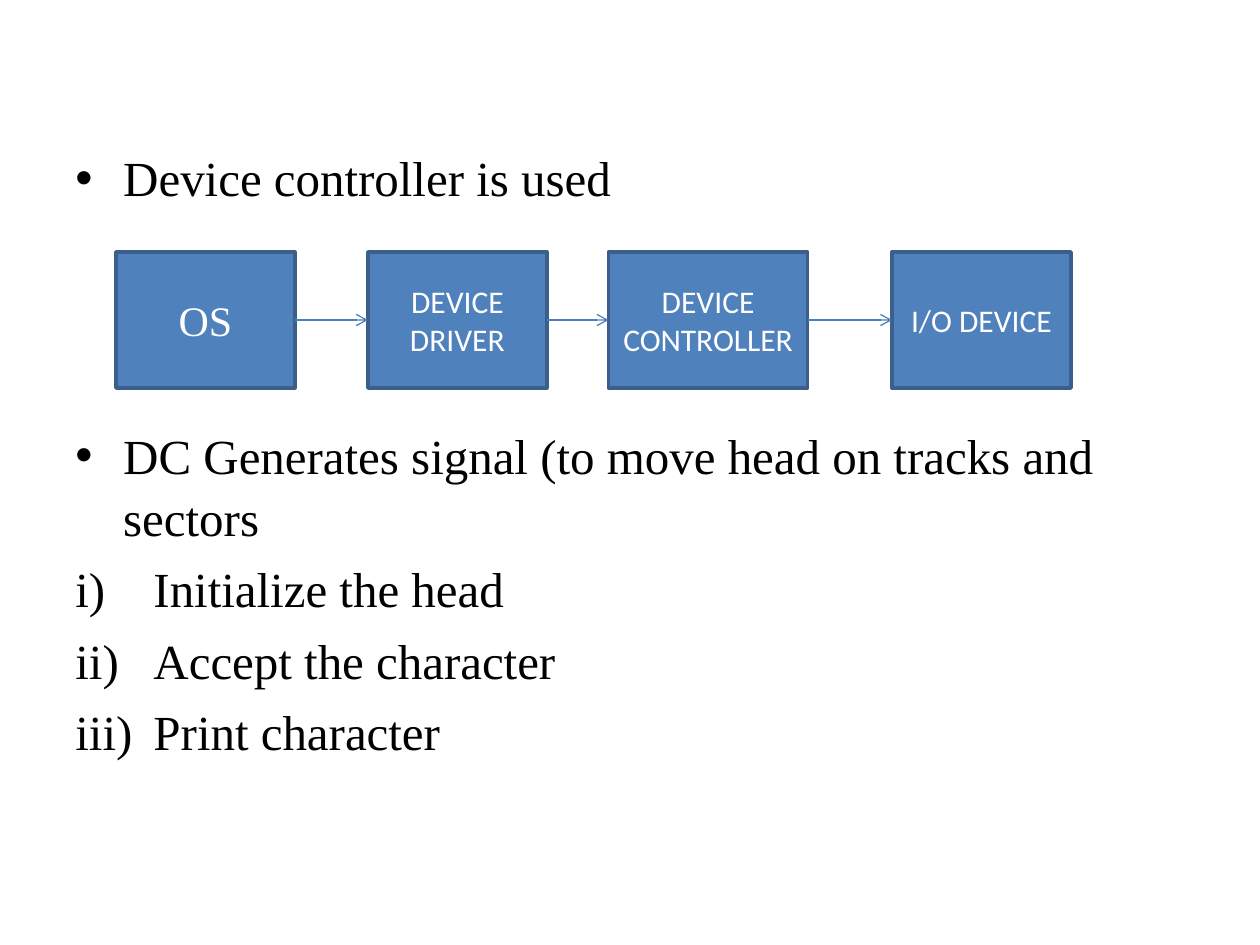
from typing import NamedTuple

from lxml import etree
from pptx import Presentation
from pptx.dml.color import RGBColor
from pptx.enum.shapes import MSO_CONNECTOR, MSO_SHAPE
from pptx.enum.text import MSO_ANCHOR, PP_ALIGN
from pptx.oxml.ns import qn
from pptx.util import Inches, Pt

RECTANGLE = MSO_SHAPE.RECTANGLE
STRAIGHT = MSO_CONNECTOR.STRAIGHT
MIDDLE = MSO_ANCHOR.MIDDLE
CENTER = PP_ALIGN.CENTER

BLACK = RGBColor(0x00, 0x00, 0x00)
WHITE = RGBColor(0xFF, 0xFF, 0xFF)
BOX_FILL = RGBColor(0x4F, 0x81, 0xBD)
BOX_LINE = RGBColor(0x3A, 0x5F, 0x8C)
ARROW_COLOR = RGBColor(0x4B, 0x7E, 0xBC)

SERIF = "Times New Roman"
SANS = "Calibri"
BOX_TOP = 2
BOX_HEIGHT = 1.08
LEFT_SITE, RIGHT_SITE = 1, 3


class Item(NamedTuple):
    text: str
    numbered: bool = False
    space_before: float = 5.6


class Stage(NamedTuple):
    text: str
    left: float
    width: float = 1.42
    font: str = SANS
    size: int = 18


ITEMS = [
    Item("Device controller is used", space_before=0),
    # The wide gap leaves room for the stage diagram.
    Item("DC Generates signal (to move head on tracks and sectors",
         space_before=123.4),
    Item("Initialize the head", numbered=True),
    Item("Accept the character", numbered=True),
    Item("Print character", numbered=True),
]

STAGES = [
    Stage("OS", 0.92, font=SERIF, size=24),
    Stage("DEVICE DRIVER", 2.92),
    Stage("DEVICE CONTROLLER", 4.83, width=1.58),
    Stage("I/O DEVICE", 7.08),
]


def set_font(paragraph, name: str, size: float, color: RGBColor) -> None:
    for run in paragraph.runs:
        run.font.name = name
        run.font.size = Pt(size)
        run.font.color.rgb = color


def add_marker(paragraph, numbered: bool) -> None:
    """Give the paragraph a hanging roman number or a round bullet."""
    properties = paragraph._p.get_or_add_pPr()
    indent = Inches(0.62 if numbered else 0.38)
    properties.set("marL", str(indent))
    properties.set("indent", str(-indent))
    if numbered:
        etree.SubElement(properties, qn("a:buFont"), typeface="+mj-lt")
        etree.SubElement(properties, qn("a:buAutoNum"), type="romanLcParenR")
    else:
        etree.SubElement(properties, qn("a:buFont"), typeface="Arial")
        etree.SubElement(properties, qn("a:buChar"), char="•")


def add_items(slide, items: list[Item]) -> None:
    box = slide.shapes.add_textbox(
        Inches(0.5), Inches(1.1), Inches(9), Inches(5.6))
    text_frame = box.text_frame
    text_frame.word_wrap = True
    text_frame.text = "\n".join(item.text for item in items)
    for paragraph, item in zip(text_frame.paragraphs, items):
        add_marker(paragraph, item.numbered)
        paragraph.line_spacing = 1.05
        paragraph.space_before = Pt(item.space_before)
        set_font(paragraph, SERIF, 28, BLACK)


def add_stage(slide, stage: Stage):
    shape = slide.shapes.add_shape(
        RECTANGLE, Inches(stage.left), Inches(BOX_TOP),
        Inches(stage.width), Inches(BOX_HEIGHT))
    shape.shadow.inherit = False
    shape.fill.solid()
    shape.fill.fore_color.rgb = BOX_FILL
    shape.line.color.rgb = BOX_LINE
    shape.line.width = Pt(2)
    text_frame = shape.text_frame
    text_frame.word_wrap = True
    text_frame.vertical_anchor = MIDDLE
    text_frame.text = stage.text
    paragraph = text_frame.paragraphs[0]
    paragraph.alignment = CENTER
    set_font(paragraph, stage.font, stage.size, WHITE)
    return shape


def add_arrow(slide, source, target) -> None:
    connector = slide.shapes.add_connector(STRAIGHT, 0, 0, 0, 0)
    connector.begin_connect(source, RIGHT_SITE)
    connector.end_connect(target, LEFT_SITE)
    connector.line.color.rgb = ARROW_COLOR
    connector.line.width = Pt(0.75)
    etree.SubElement(connector.line._get_or_add_ln(), qn("a:tailEnd"),
                     type="arrow")
    etree.SubElement(connector._element.spPr, qn("a:effectLst"))


def main() -> None:
    presentation = Presentation()
    presentation.slide_width = Inches(10)
    presentation.slide_height = Inches(7.5)
    slide = presentation.slides.add_slide(presentation.slide_layouts[6])
    add_items(slide, ITEMS)
    boxes = [add_stage(slide, stage) for stage in STAGES]
    for source, target in zip(boxes, boxes[1:]):
        add_arrow(slide, source, target)
    presentation.save("out.pptx")


if __name__ == "__main__":
    main()
